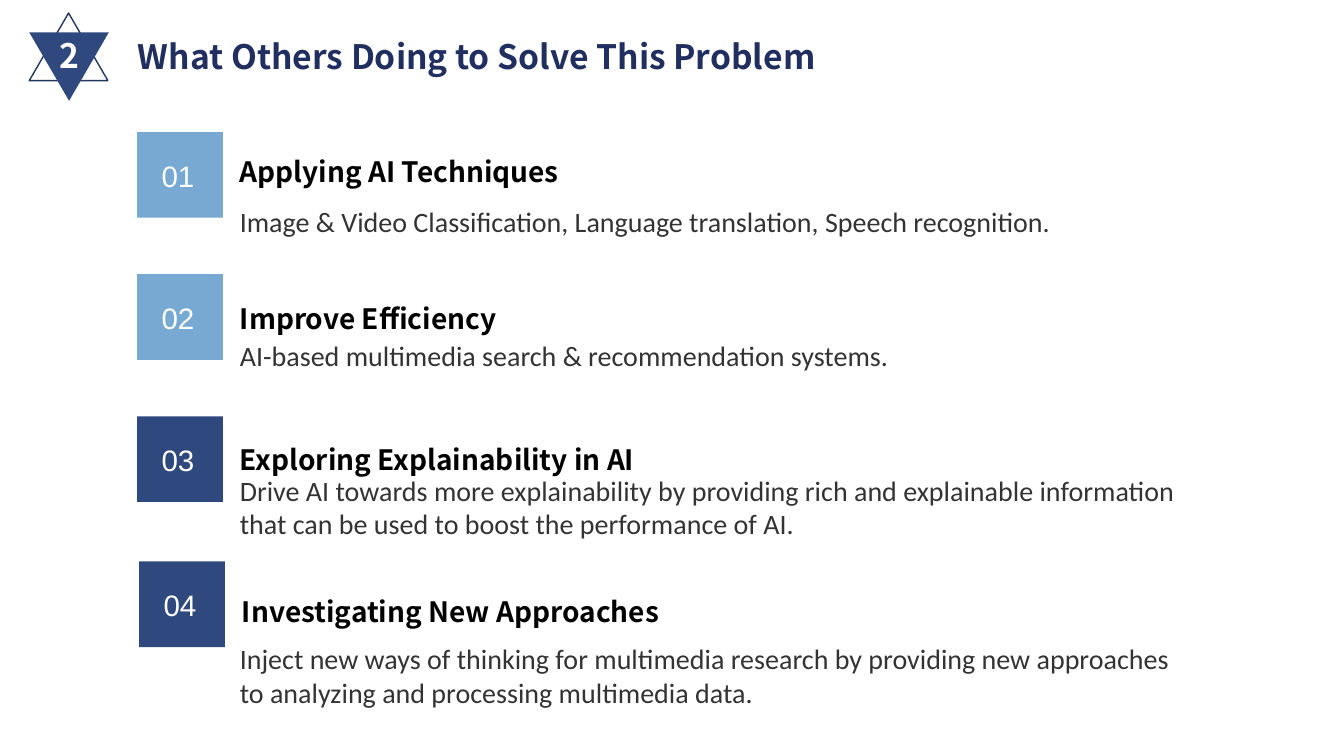
from dataclasses import dataclass

from pptx import Presentation
from pptx.dml.color import RGBColor
from pptx.enum.shapes import MSO_SHAPE
from pptx.enum.text import MSO_ANCHOR, PP_ALIGN
from pptx.util import Inches, Pt

CELL = 0.1  # inches per grid column and row
NAVY, SKY, INK = "2F497E", "77A9D3", "202F60"
HEAD = "Noto Sans CJK SC"


@dataclass
class Box:
    """A place on the grid, in columns and rows."""
    left: float
    top: float
    width: float
    height: float

    def place(self) -> list[int]:
        sides = (self.left, self.top, self.width, self.height)
        return [Inches(n * CELL) for n in sides]


@dataclass
class Style:
    font: str
    size: float
    color: str
    bold: bool = False


@dataclass
class Topic:
    title: str
    detail: str
    color: str
    left: float
    top: float
    drop: float  # rows from the tile's top to the title's top
    width: float


TOPICS = [
    Topic("Applying AI Techniques",
          "Image & Video Classification, Language translation, Speech recognition.",
          SKY, 13.6, 13.1, 1.1, 42.4),
    Topic("Improve Efficiency",
          "AI-based multimedia search & recommendation systems.",
          SKY, 13.6, 27.2, 1.6, 42.4),
    Topic("Exploring Explainability in AI",
          "Drive AI towards more explainability by providing rich and explainable "
          "information that can be used to boost the performance of AI.",
          NAVY, 13.6, 41.3, 1.5, 45.4),
    Topic("Investigating New Approaches",
          "Inject new ways of thinking for multimedia research by providing new "
          "approaches to analyzing and processing multimedia data.",
          NAVY, 13.8, 55.7, 2.1, 46.9),
]

TITLE = Style(HEAD, 24, INK, True)
BADGE = Style(HEAD, 24, "FFFFFF", True)
TOPIC = Style(HEAD, 20, "000000", True)
BODY = Style("Calibri", 20, "333333")
NUMBER = Style("Arial", 21.1, "FFFFFF")


def paint(text: str) -> RGBColor:
    return RGBColor.from_string(text)


def add_text(slide, box: Box, lines: list[str], style: Style,
             anchor=MSO_ANCHOR.TOP, gap: float = 0):
    """Add a text box with one paragraph per line, gap points apart."""
    frame = slide.shapes.add_textbox(*box.place()).text_frame
    frame.word_wrap = True
    frame.vertical_anchor = anchor
    for i, line in enumerate(lines):
        para = frame.add_paragraph() if i else frame.paragraphs[0]
        para.text = line
        para.space_before = Pt(gap if i else 0)
        font = para.font
        font.name, font.size, font.bold = style.font, Pt(style.size), style.bold
        font.color.rgb = paint(style.color)
    return frame


def add_shape(slide, kind, box: Box, fill: str = "", line: str = ""):
    shape = slide.shapes.add_shape(kind, *box.place())
    shape.shadow.inherit = False
    if fill:
        shape.fill.solid()
        shape.fill.fore_color.rgb = paint(fill)
    else:
        shape.fill.background()
    if line:
        shape.line.color.rgb = paint(line)
        shape.line.width = Pt(1)
    else:
        shape.line.fill.background()
    return shape


def add_tile(slide, topic: Topic, order: int) -> None:
    """Add the numbered square and the title beside it."""
    add_shape(slide, MSO_SHAPE.RECTANGLE,
              Box(topic.left, topic.top, 8.5, 8.5), topic.color)
    frame = add_text(slide, Box(topic.left + 0.6, topic.top + 1.1, 6.9, 5.7),
                     [f"{order:02}"], NUMBER, MSO_ANCHOR.MIDDLE)
    frame.margin_left = frame.margin_right = 0
    frame.margin_top = frame.margin_bottom = Inches(0.08)
    frame.paragraphs[0].alignment = PP_ALIGN.CENTER
    frame.paragraphs[0].line_spacing = 1.2
    add_text(slide, Box(topic.left + 9.2, topic.top + topic.drop, topic.width, 5.6),
             [topic.title], TOPIC, MSO_ANCHOR.MIDDLE)


def add_badge(slide) -> None:
    """Add the star of two triangles with the section number."""
    add_shape(slide, MSO_SHAPE.ISOSCELES_TRIANGLE,
              Box(2.9, 1.3, 7.8, 6.7), line="23365D")
    point = add_shape(slide, MSO_SHAPE.ISOSCELES_TRIANGLE,
                      Box(2.9, 3.2, 7.9, 6.8), NAVY)
    point.rotation = 180
    add_text(slide, Box(4.9, 3, 4.6, 5), ["2"], BADGE)


def main() -> None:
    deck = Presentation()
    deck.slide_width, deck.slide_height = Inches(13.33), Inches(7.5)
    slide = deck.slides.add_slide(deck.slide_layouts[6])
    add_text(slide, Box(22.8, 19.8, 96.1, 51.5),
             [topic.detail for topic in TOPICS], BODY, gap=72)
    for order, topic in enumerate(TOPICS, 1):
        add_tile(slide, topic, order)
    add_badge(slide)
    add_text(slide, Box(12.7, 3.1, 89.8, 5),
             ["What Others Doing to Solve This Problem"], TITLE)
    deck.save("out.pptx")


if __name__ == "__main__":
    main()
